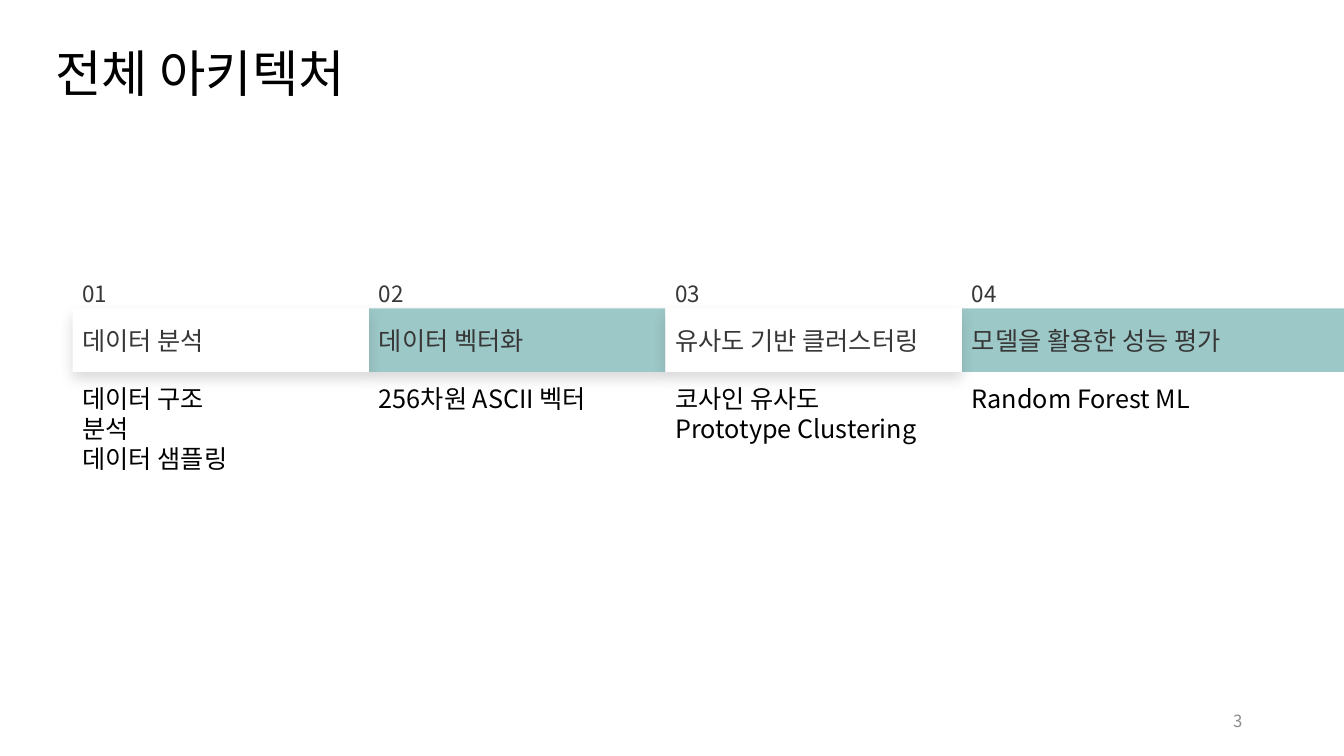
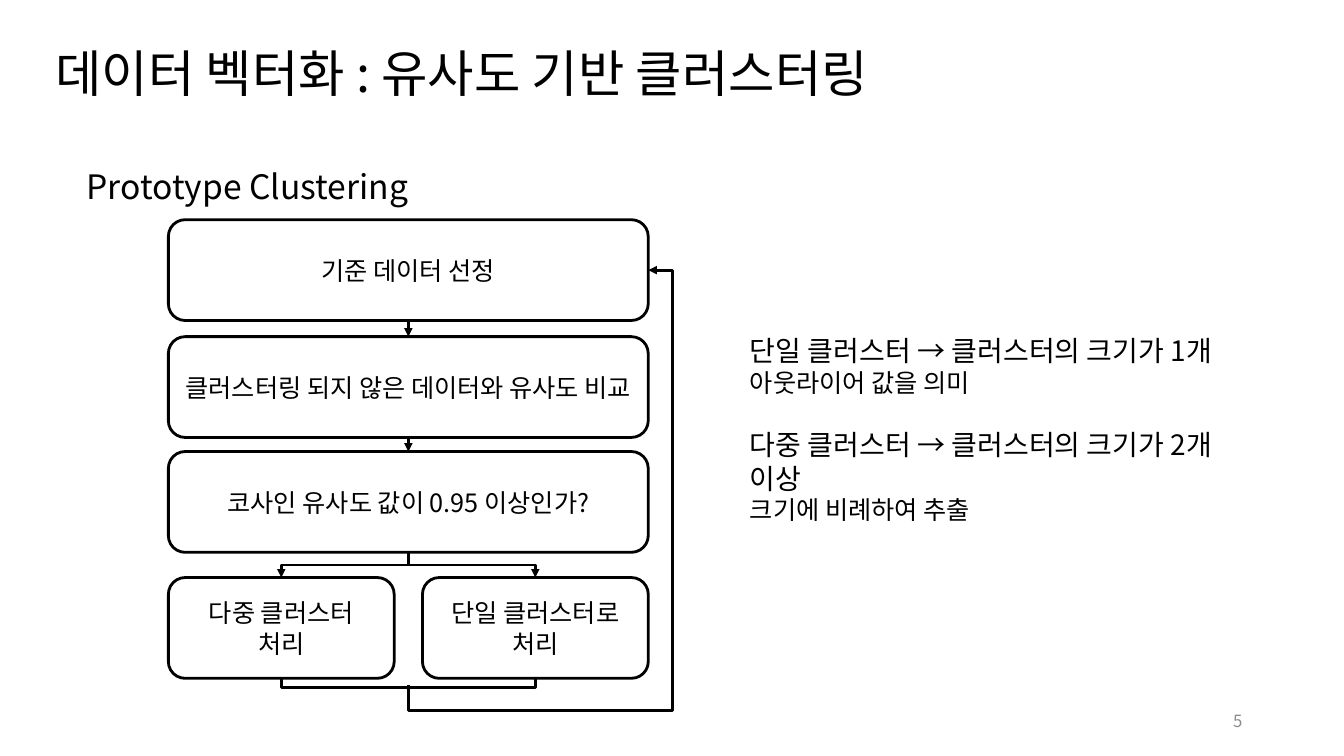
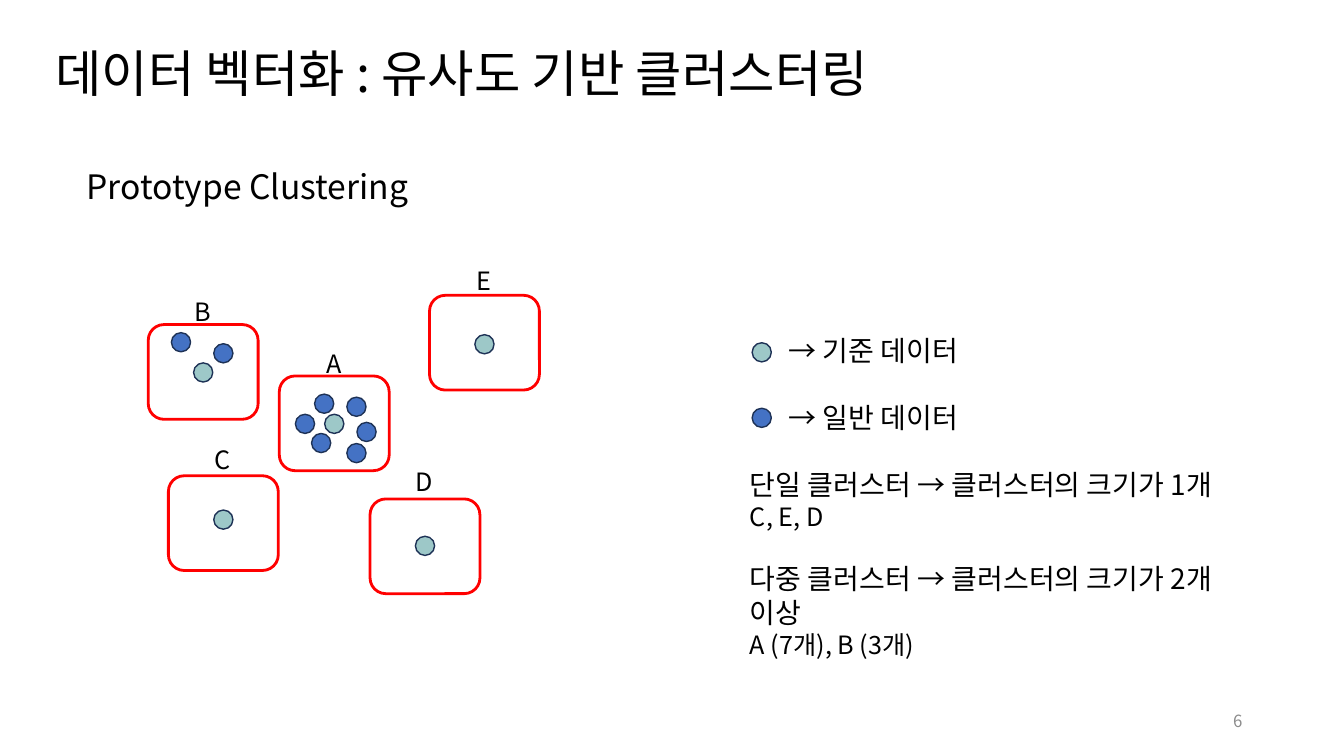
from dataclasses import dataclass
from typing import NamedTuple

from lxml.etree import SubElement
from pptx import Presentation
from pptx.dml.color import RGBColor
from pptx.enum.shapes import MSO_CONNECTOR, MSO_SHAPE
from pptx.enum.text import MSO_ANCHOR, PP_ALIGN
from pptx.oxml.ns import qn
from pptx.util import Emu, Pt

EMU_PER_PX = 9144  # 100 px to the inch
SLIDE_W, SLIDE_H = 1333, 750
FONT = "Noto Sans CJK KR"

BLACK = RGBColor(0x00, 0x00, 0x00)
WHITE = RGBColor(0xFF, 0xFF, 0xFF)
CHARCOAL = RGBColor(0x37, 0x37, 0x37)
GRAY = RGBColor(0x8C, 0x8C, 0x8C)
TEAL = RGBColor(0x9D, 0xC8, 0xC8)
BLUE = RGBColor(0x44, 0x72, 0xC4)
NAVY = RGBColor(0x1E, 0x32, 0x56)
RED = RGBColor(0xFF, 0x00, 0x00)

DOT = 19
CLUSTER_W, CLUSTER_H = 109, 94
CLUSTERING_TITLE = "데이터 벡터화 : 유사도 기반 클러스터링"
SINGLE_RULE = "단일 클러스터 → 클러스터의 크기가 1개"
MULTI_RULE = "다중 클러스터 → 클러스터의 크기가 2개 이상"


class Point(NamedTuple):
    x: int
    y: int


class Box(NamedTuple):
    left: int
    top: int
    width: int
    height: int

    @property
    def center_x(self) -> int:
        return self.left + self.width // 2

    @property
    def bottom(self) -> int:
        return self.top + self.height


class Line(NamedTuple):
    """One paragraph; gap is the space before it in points, indent is in px."""
    text: str
    size: int = 18
    gap: float = 0
    indent: int = 0


@dataclass(frozen=True)
class Stage:
    heading: str
    details: list[str]
    detail_width: int
    fill: RGBColor
    shadow: bool = True


@dataclass(frozen=True)
class Cluster:
    name: str
    corner: Point
    label_rise: int
    prototype: Point
    members: tuple[Point, ...] = ()


STAGES = [
    Stage("데이터 분석", ["데이터 구조 분석", "데이터 샘플링"], 184, WHITE),
    Stage("데이터 벡터화", ["256차원 ASCII 벡터"], 232, TEAL),
    Stage("유사도 기반 클러스터링", ["코사인 유사도", "Prototype Clustering"], 268, WHITE),
    Stage("모델을 활용한 성능 평가", ["Random Forest ML"], 242, TEAL, shadow=False),
]

CLUSTERS = [
    Cluster("A", Point(277, 373), 32, Point(322, 411),
            (Point(293, 411), Point(312, 391), Point(309, 430),
             Point(344, 440), Point(354, 419), Point(344, 394))),
    Cluster("B", Point(147, 322), 33, Point(192, 360), (Point(212, 341), Point(170, 330))),
    Cluster("C", Point(167, 472), 36, Point(212, 506)),
    Cluster("D", Point(367, 495), 37, Point(412, 532)),
    Cluster("E", Point(426, 293), 35, Point(471, 332)),
]


def px(length: float) -> Emu:
    return Emu(round(length * EMU_PER_PX))


def write(shape, lines: list[Line], *, color=BLACK, align=PP_ALIGN.LEFT,
          anchor=MSO_ANCHOR.TOP) -> None:
    frame = shape.text_frame
    frame.word_wrap = True
    frame.vertical_anchor = anchor
    for index, line in enumerate(lines):
        paragraph = frame.add_paragraph() if index else frame.paragraphs[0]
        paragraph.alignment = align
        paragraph.space_before = Pt(line.gap)
        if line.indent:
            paragraph._p.get_or_add_pPr().set("marL", str(px(line.indent)))
        run = paragraph.add_run()
        run.text = line.text
        run.font.size = Pt(line.size)
        run.font.name = FONT
        run.font.color.rgb = color
        SubElement(run._r.get_or_add_rPr(), qn("a:ea"), typeface=FONT)


def add_text(slide, box: Box, lines: list[Line], **text_format) -> None:
    write(slide.shapes.add_textbox(*map(px, box)), lines, **text_format)


def add_box(slide, kind, box: Box, *, fill=None, line=None, line_width=2):
    shape = slide.shapes.add_shape(kind, *map(px, box))
    shape.shadow.inherit = False
    if fill is None:
        shape.fill.background()
    else:
        shape.fill.solid()
        shape.fill.fore_color.rgb = fill
    if line is None:
        shape.line.fill.background()
    else:
        shape.line.color.rgb = line
        shape.line.width = Pt(line_width)
    return shape


def add_soft_shadow(shape) -> None:
    effects = shape._element.spPr.find(qn("a:effectLst"))
    shadow = SubElement(effects, qn("a:outerShdw"), blurRad=str(Pt(10)), dist=str(Pt(5)),
                        dir="5400000", algn="t", rotWithShape="0")
    color = SubElement(shadow, qn("a:srgbClr"), val=str(BLACK))
    SubElement(color, qn("a:alpha"), val="15000")


def add_line(slide, start: Point, end: Point, *, kind=MSO_CONNECTOR.STRAIGHT, arrow=True):
    connector = slide.shapes.add_connector(kind, *map(px, (*start, *end)))
    connector.line.color.rgb = BLACK
    connector.line.width = Pt(2)
    if arrow:
        SubElement(connector.line._get_or_add_ln(), qn("a:tailEnd"), type="triangle")
    SubElement(connector._element.spPr, qn("a:effectLst"))
    return connector


def add_bent_line(slide, start: Point, end: Point, *, bends: tuple[float, ...] = (0.5,),
                  arrow=True) -> None:
    """Elbow that leaves start vertically; bends are the shares at which it turns."""
    connector = add_line(slide, start, end, kind=MSO_CONNECTOR.ELBOW, arrow=arrow)
    run, rise = abs(end.x - start.x), abs(end.y - start.y)
    connector.left = px((start.x + end.x - rise) / 2)
    connector.top = px((start.y + end.y - run) / 2)
    connector.width, connector.height = px(rise), px(run)
    rightward, upward = end.x > start.x, end.y < start.y
    properties = connector._element.spPr
    frame = properties.find(qn("a:xfrm"))
    turn = 270 if rightward and not upward else 90
    frame.set("rot", str(turn * 60000))
    frame.set("flipH", str(int(rightward or upward)))
    frame.set("flipV", str(int(rightward and upward)))
    geometry = properties.find(qn("a:prstGeom"))
    geometry.set("prst", f"bentConnector{len(bends) + 2}")
    guides = geometry.find(qn("a:avLst"))
    if guides is None:
        guides = SubElement(geometry, qn("a:avLst"))
    for number, share in enumerate(bends, 1):
        SubElement(guides, qn("a:gd"), name=f"adj{number}", fmla=f"val {round(share * 100000)}")


def add_dot(slide, corner: Point, fill: RGBColor) -> None:
    add_box(slide, MSO_SHAPE.OVAL, Box(*corner, DOT, DOT), fill=fill, line=NAVY, line_width=1)


def start_slide(deck, title: str, number: int, subtitle: str = ""):
    slide = deck.slides.add_slide(deck.slide_layouts[6])
    add_text(slide, Box(45, 37, 965, 71), [Line(title, 36)])
    add_text(slide, Box(942, 695, 300, 40), [Line(str(number), 12)], color=GRAY,
             align=PP_ALIGN.RIGHT, anchor=MSO_ANCHOR.MIDDLE)
    if subtitle:
        add_text(slide, Box(76, 160, 351, 50), [Line(subtitle, 24)])
    return slide


def build_architecture(deck) -> None:
    slide = start_slide(deck, "전체 아키텍처", 3)
    first_left, pitch = 72, 294
    columns = [(first_left + index * pitch, stage) for index, stage in enumerate(STAGES)]
    # White bands come last so that their shadows fall on the teal ones.
    for left, stage in sorted(columns, key=lambda column: column[1].fill == WHITE):
        width = SLIDE_W - left if stage is STAGES[-1] else pitch
        band = add_box(slide, MSO_SHAPE.RECTANGLE, Box(left, 306, width, 63), fill=stage.fill)
        write(band, [Line(stage.heading)], color=CHARCOAL, anchor=MSO_ANCHOR.MIDDLE)
        if stage.shadow:
            add_soft_shadow(band)
    for number, (left, stage) in enumerate(columns, 1):
        add_text(slide, Box(left, 273, 316, 37), [Line(f"{number:02}", 16)], color=CHARCOAL)
        add_text(slide, Box(left, 375, stage.detail_width, 71),
                 [Line(detail) for detail in stage.details])


def build_flowchart(deck) -> None:
    slide = start_slide(deck, CLUSTERING_TITLE, 5, "Prototype Clustering")
    select = Box(167, 218, 476, 100)
    compare = select._replace(top=334)
    decide = select._replace(top=448)
    multiple = Box(167, 573, 224, 100)
    single = multiple._replace(left=419)
    steps = [
        (select, "기준 데이터 선정"),
        (compare, "클러스터링 되지 않은 데이터와 유사도 비교"),
        (decide, "코사인 유사도 값이 0.95 이상인가?"),
        (multiple, "다중 클러스터 처리"),
        (single, "단일 클러스터로 처리"),
    ]
    for box, label in steps:
        step = add_box(slide, MSO_SHAPE.ROUNDED_RECTANGLE, box, line=BLACK)
        write(step, [Line(label)], align=PP_ALIGN.CENTER, anchor=MSO_ANCHOR.MIDDLE)

    middle = select.center_x
    for upper, lower in ((select, compare), (compare, decide)):
        add_line(slide, Point(middle, upper.bottom), Point(middle, lower.top))
    for outcome in (multiple, single):
        add_bent_line(slide, Point(middle, decide.bottom), Point(outcome.center_x, outcome.top))
    add_bent_line(slide, Point(multiple.center_x, multiple.bottom - 1),
                  Point(single.center_x, single.bottom), bends=(10,), arrow=False)
    add_bent_line(slide, Point(middle, 680), Point(select.left + select.width, 268),
                  bends=(-0.06, 1.1))

    add_text(slide, Box(734, 326, 514, 168), [
        Line(SINGLE_RULE, 20), Line("아웃라이어 값을 의미"),
        Line(MULTI_RULE, 20, gap=21.5), Line("크기에 비례하여 추출"),
    ])


def build_cluster_map(deck) -> None:
    slide = start_slide(deck, CLUSTERING_TITLE, 6, "Prototype Clustering")
    for cluster in CLUSTERS:
        add_dot(slide, cluster.prototype, TEAL)
        for member in cluster.members:
            add_dot(slide, member, BLUE)
        outline = Box(*cluster.corner, CLUSTER_W, CLUSTER_H)
        add_box(slide, MSO_SHAPE.ROUNDED_RECTANGLE, outline, line=RED)
        add_text(slide, Box(outline.center_x - 19, outline.top - cluster.label_rise, 38, 40),
                 [Line(cluster.name)], align=PP_ALIGN.CENTER)

    add_text(slide, Box(734, 326, 514, 303), [
        Line("→ 기준 데이터", 20, indent=38),
        Line("→ 일반 데이터", 20, gap=24, indent=38),
        Line(SINGLE_RULE, 20, gap=24), Line("C, E, D"),
        Line(MULTI_RULE, 20, gap=21.5), Line("A (7개), B (3개)"),
    ])
    add_dot(slide, Point(746, 340), TEAL)
    add_dot(slide, Point(746, 405), BLUE)


def main() -> None:
    deck = Presentation()
    deck.slide_width, deck.slide_height = px(SLIDE_W), px(SLIDE_H)
    build_architecture(deck)
    build_flowchart(deck)
    build_cluster_map(deck)
    deck.save("out.pptx")


if __name__ == "__main__":
    main()
